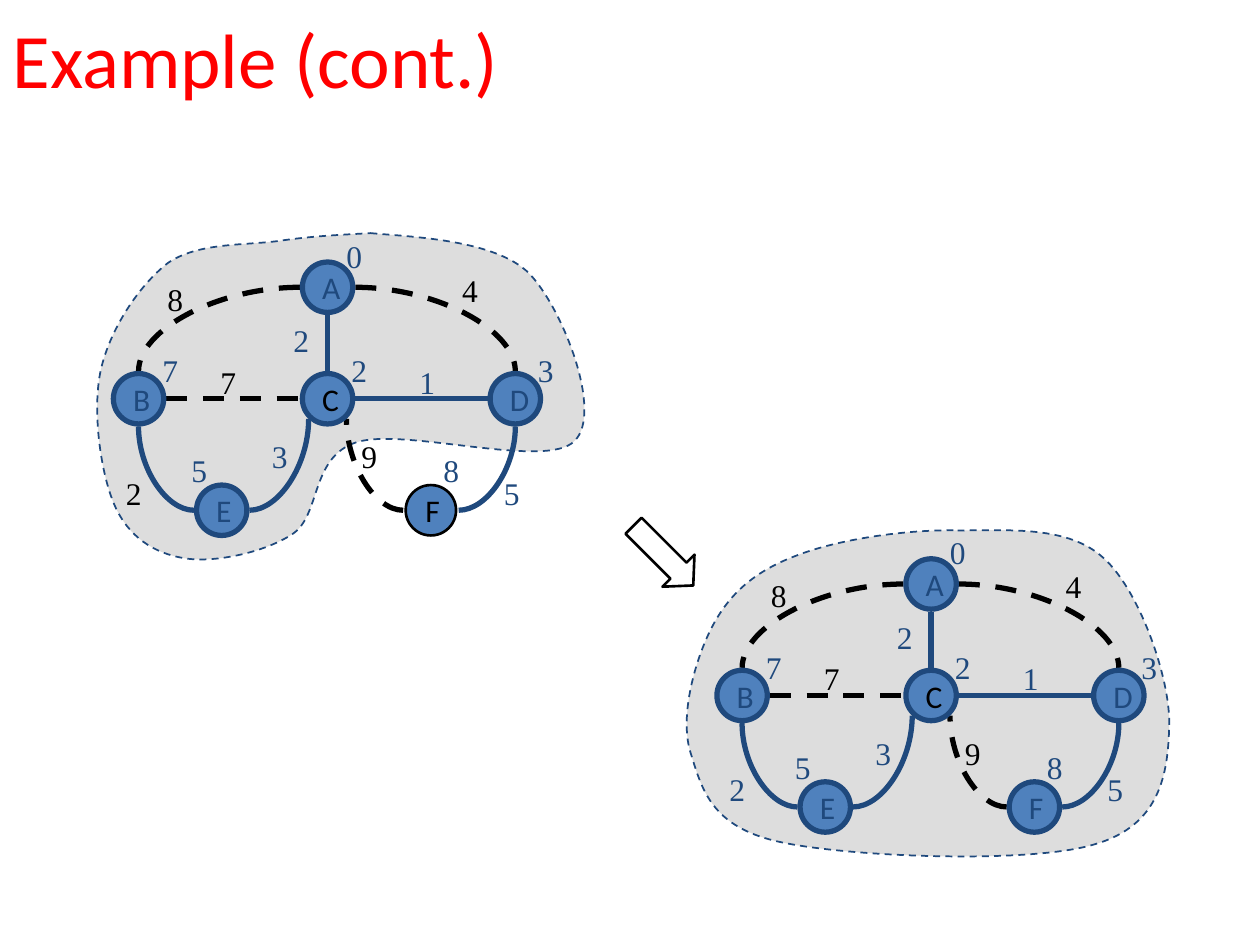
from dataclasses import dataclass
from typing import NamedTuple

import pptx
import pptx.dml.color
import pptx.enum.dml
import pptx.enum.shapes
import pptx.enum.text
import pptx.oxml
import pptx.oxml.ns
import pptx.util
from pptx.util import Inches

Point = tuple[float, float]


@dataclass(frozen=True)
class Theme:
    """Colours, fonts and sizes of the slide."""
    red: str = "FF0000"
    black: str = "000000"
    navy: str = "1F497D"
    blue: str = "4F81BD"
    grey: str = "DDDDDD"
    sans: str = "Calibri"
    serif: str = "Times New Roman"
    title_size: float = 44
    text_size: float = 18
    thick: float = 3
    medium: float = 1.5
    thin: float = 1


class Node(NamedTuple):
    """A vertex, placed by its centre."""
    name: str
    x: float
    y: float
    color: str


class Edge(NamedTuple):
    """A link between sides of two nodes; a curve leaves its start horizontally."""
    start: str
    start_side: str
    end: str
    end_side: str
    in_tree: bool
    curved: bool


class Label(NamedTuple):
    """A distance or weight, placed by the corner of its box."""
    text: str
    x: float
    y: float
    color: str


class Graph(NamedTuple):
    """One step: its offset, colour of late elements, and cloud outline."""
    dx: float
    dy: float
    late_color: str
    late_width: float
    cloud: list[Point]


T = Theme()
LATE = "late"
DIAMETER, GAP = 0.4, 0.22
SIDES = {"left": (-GAP, 0), "right": (GAP, 0), "top": (0, -GAP), "bottom": (0, GAP),
         "lower left": (-0.15, 0.16), "lower right": (0.15, 0.16)}
NODES = {n.name: n for n in (
    Node("A", 2.6, 2.28, T.navy), Node("B", 1.1, 3.165, T.navy),
    Node("C", 2.6, 3.165, T.black), Node("D", 4.09, 3.165, T.navy),
    Node("E", 1.76, 4.05, T.navy), Node("F", 3.42, 4.05, LATE))}
EDGES = [
    Edge("A", "left", "B", "top", False, True),
    Edge("A", "right", "D", "top", False, True),
    Edge("E", "left", "B", "bottom", True, True),
    Edge("E", "right", "C", "lower left", True, True),
    Edge("F", "left", "C", "lower right", False, True),
    Edge("F", "right", "D", "bottom", True, True),
    Edge("A", "bottom", "C", "top", True, False),
    Edge("B", "right", "C", "left", False, False),
    Edge("C", "right", "D", "left", True, False)]
LABELS = [
    Label("0", 2.65, 1.83, T.navy), Label("3", 4.17, 2.74, T.navy),
    Label("2", 2.69, 2.74, T.navy), Label("7", 1.19, 2.74, T.navy),
    Label("5", 1.42, 3.53, T.navy), Label("8", 3.42, 3.53, T.navy),
    Label("4", 3.57, 2.1, T.black), Label("8", 1.23, 2.17, T.black),
    Label("7", 1.65, 2.83, T.black), Label("1", 3.23, 2.83, T.navy),
    Label("2", 0.9, 3.71, LATE), Label("5", 3.9, 3.71, T.navy),
    Label("2", 2.23, 2.5, T.navy), Label("3", 2.06, 3.42, T.navy),
    Label("9", 2.77, 3.42, T.black)]
GRAPHS = [
    Graph(0, 0, T.black, T.medium, [
        (2.94, 1.85), (3.26, 1.88), (3.93, 1.9), (4.2, 2.17), (4.47, 2.45),
        (4.79, 3.28), (4.56, 3.5), (4.34, 3.73), (3.21, 3.39), (2.83, 3.51),
        (2.46, 3.63), (2.55, 4.09), (2.32, 4.24), (2.09, 4.39), (1.69, 4.47),
        (1.46, 4.43), (1.22, 4.39), (1.02, 4.26), (0.91, 4.01), (0.8, 3.76),
        (0.73, 3.26), (0.8, 2.94), (0.87, 2.62), (1.1, 2.27), (1.33, 2.09),
        (1.57, 1.92), (1.96, 1.95), (2.23, 1.91), (2.5, 1.87), (2.79, 1.86),
        (2.94, 1.85)]),
    Graph(4.79, 2.355, T.navy, T.thick, [
        (7.6, 4.21), (8.01, 4.21), (8.48, 4.17), (8.76, 4.43), (9.04, 4.68),
        (9.29, 5.38), (9.28, 5.76), (9.27, 6.14), (9.21, 6.55), (8.69, 6.7),
        (8.17, 6.86), (6.71, 6.8), (6.18, 6.68), (5.64, 6.56), (5.57, 6.26),
        (5.48, 5.97), (5.39, 5.68), (5.52, 5.22), (5.66, 4.96), (5.8, 4.7),
        (6, 4.53), (6.32, 4.41), (6.65, 4.28), (7.2, 4.2), (7.6, 4.21)])]


def rgb(color: str) -> pptx.dml.color.RGBColor:
    """Turn a hex string into a colour."""
    return pptx.dml.color.RGBColor.from_string(color)


def set_line(sp, color: str, width: float, dashed: bool = False) -> None:
    """Format the line of a shape or connector."""
    sp.line.color.rgb = rgb(color)
    sp.line.width = pptx.util.Pt(width)
    if dashed:
        sp.line.dash_style = pptx.enum.dml.MSO_LINE.DASH


def set_fill(sp, color: str) -> None:
    """Give a shape a flat fill without shadow."""
    sp.fill.solid()
    sp.fill.fore_color.rgb = rgb(color)
    sp.shadow.inherit = False


def write(tf, text: str, font: str, size: float, color: str) -> None:
    """Put one left-aligned paragraph into a text frame."""
    p = tf.paragraphs[0]
    p.text = text
    p.alignment = pptx.enum.text.PP_ALIGN.LEFT
    p.font.name, p.font.size = font, pptx.util.Pt(size)
    p.font.color.rgb = rgb(color)


def add_cloud(shapes, points: list[Point]) -> None:
    """Draw a closed outline of cubic curves: a start, then triples of points."""
    (x, y), *rest = [(Inches(px), Inches(py)) for px, py in points]
    builder = shapes.build_freeform(x, y, scale=1.0)
    builder.add_line_segments(rest, close=True)
    sp = builder.convert_to_shape()
    qn = pptx.oxml.ns.qn
    outline = next(sp._element.iter(qn("a:path")))
    segments = outline.findall(qn("a:lnTo"))
    for i in range(0, len(rest), 3):
        curve = pptx.oxml.parse_xml(
            f'<a:cubicBezTo {pptx.oxml.ns.nsdecls("a")}/>')
        segments[i].addprevious(curve)
        for segment in segments[i:i + 3]:
            curve.append(segment[0])
            outline.remove(segment)
    set_fill(sp, T.grey)
    set_line(sp, T.navy, T.thin, dashed=True)


def add_edge(shapes, edge: Edge, graph: Graph) -> None:
    """Join two nodes; links outside the tree are black and dashed."""
    ends = []
    for name, side in ((edge.start, edge.start_side), (edge.end, edge.end_side)):
        node, (sx, sy) = NODES[name], SIDES[side]
        ends += [Inches(node.x + sx + graph.dx), Inches(node.y + sy + graph.dy)]
    kinds = pptx.enum.shapes.MSO_CONNECTOR
    cxn = shapes.add_connector(kinds.CURVE if edge.curved else kinds.STRAIGHT, *ends)
    sp_pr = cxn._element.spPr
    if edge.curved:
        sp_pr.find(pptx.oxml.ns.qn("a:prstGeom")).set("prst", "curvedConnector2")
    set_line(cxn, T.navy if edge.in_tree else T.black, T.thick, not edge.in_tree)
    sp_pr.append(pptx.oxml.parse_xml(
        f'<a:effectLst {pptx.oxml.ns.nsdecls("a")}/>'))


def add_node(shapes, node: Node, graph: Graph) -> None:
    """Draw a vertex with its letter."""
    late = node.color == LATE
    color = graph.late_color if late else node.color
    sp = shapes.add_shape(
        pptx.enum.shapes.MSO_SHAPE.OVAL, Inches(node.x - DIAMETER / 2 + graph.dx),
        Inches(node.y - DIAMETER / 2 + graph.dy), Inches(DIAMETER), Inches(DIAMETER))
    set_fill(sp, T.blue)
    set_line(sp, graph.late_color if late else T.navy,
             graph.late_width if late else T.thick)
    tf = sp.text_frame
    tf.word_wrap = False
    tf.vertical_anchor = pptx.enum.text.MSO_ANCHOR.MIDDLE
    write(tf, node.name, T.sans, T.text_size, color)


def add_label(shapes, label: Label, graph: Graph) -> None:
    """Write a distance or an edge weight."""
    tf = shapes.add_textbox(Inches(label.x + graph.dx), Inches(label.y + graph.dy),
                            Inches(0.33), Inches(0.4)).text_frame
    tf.word_wrap = False
    tf.auto_size = pptx.enum.text.MSO_AUTO_SIZE.SHAPE_TO_FIT_TEXT
    color = graph.late_color if label.color == LATE else label.color
    write(tf, label.text, T.serif, T.text_size, color)


def add_step_arrow(shapes) -> None:
    """Draw the hollow arrow from the first step to the second."""
    sp = shapes.add_shape(pptx.enum.shapes.MSO_SHAPE.RIGHT_ARROW, Inches(4.93),
                          Inches(4.23), Inches(0.67), Inches(0.36))
    sp.adjustments[1] = 0.46
    sp.rotation = 45
    sp.fill.background()
    sp.shadow.inherit = False
    set_line(sp, T.black, T.medium)


def main() -> None:
    """Build and save the slide."""
    prs = pptx.Presentation()
    prs.slide_width, prs.slide_height = Inches(10), Inches(7.5)
    shapes = prs.slides.add_slide(prs.slide_layouts[5]).shapes
    title = shapes.title
    title.left, title.top = Inches(0), Inches(-0.17)
    title.width, title.height = Inches(9), Inches(1.25)
    title.text_frame.vertical_anchor = pptx.enum.text.MSO_ANCHOR.MIDDLE
    write(title.text_frame, "Example (cont.)", T.sans, T.title_size, T.red)
    for graph in GRAPHS:
        add_cloud(shapes, graph.cloud)
        for edge in EDGES:
            add_edge(shapes, edge, graph)
        for node in NODES.values():
            add_node(shapes, node, graph)
        for label in LABELS:
            add_label(shapes, label, graph)
    add_step_arrow(shapes)
    prs.save("out.pptx")


main()
